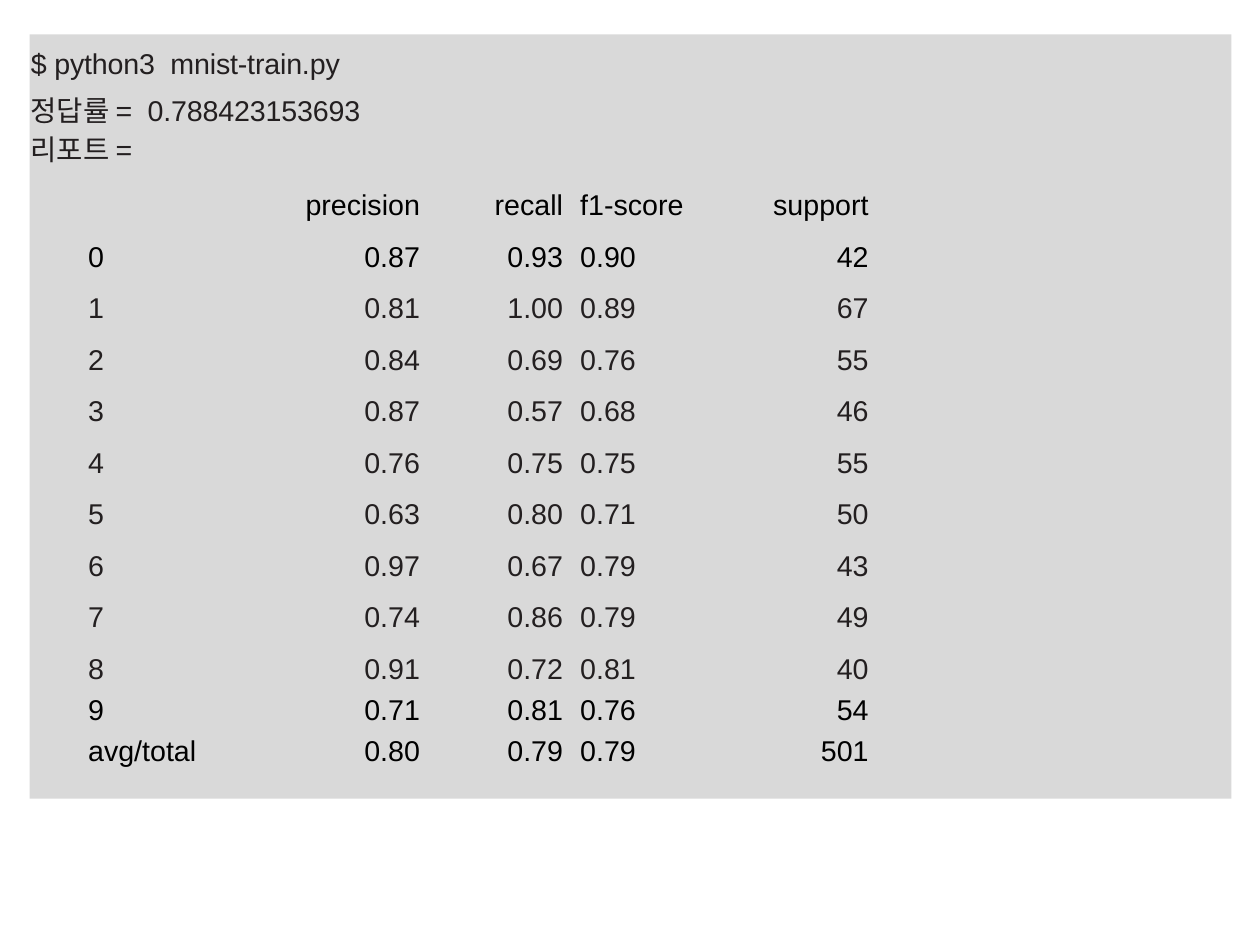
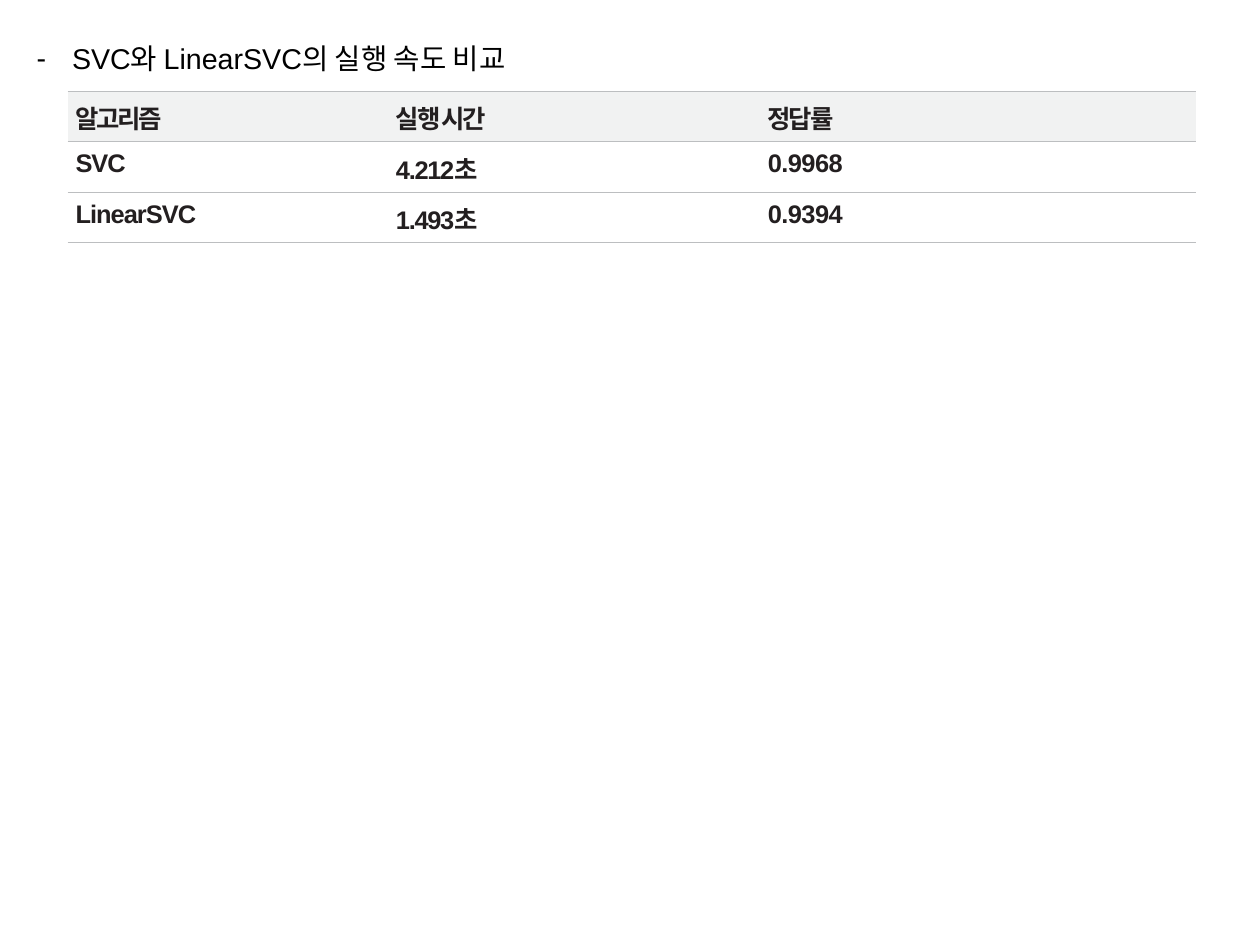
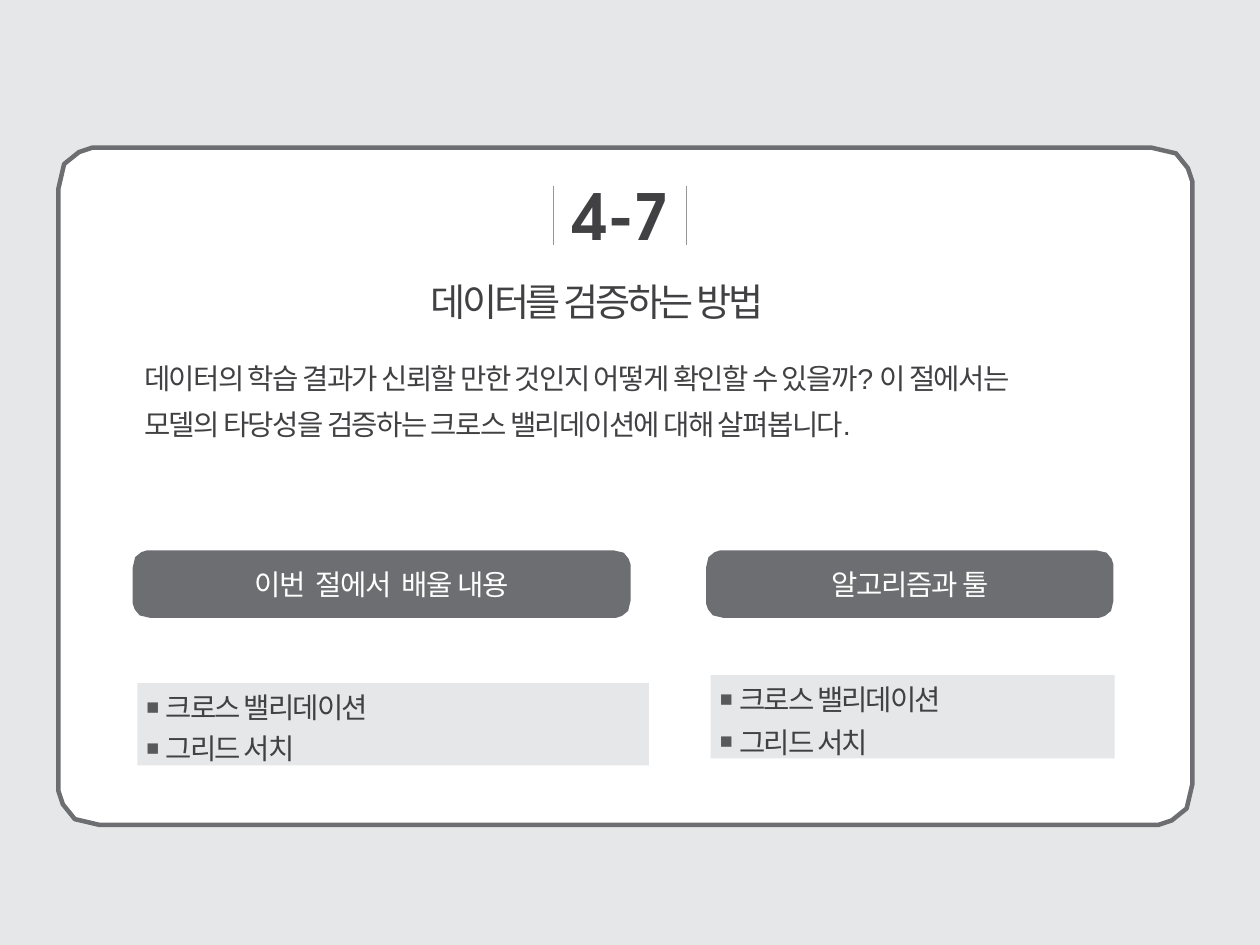
from lxml import etree
from pptx import Presentation
from pptx.dml.color import RGBColor
from pptx.enum.shapes import MSO_CONNECTOR, MSO_SHAPE
from pptx.enum.text import MSO_ANCHOR, MSO_AUTO_SIZE, PP_ALIGN
from pptx.oxml.ns import qn
from pptx.util import Inches, Pt

LEFT, CENTER, RIGHT, JUSTIFY = PP_ALIGN.LEFT, PP_ALIGN.CENTER, PP_ALIGN.RIGHT, PP_ALIGN.JUSTIFY
TOP, MIDDLE = MSO_ANCHOR.TOP, MSO_ANCHOR.MIDDLE
TWO_CONTENT, TITLE_ONLY, BLANK = 3, 5, 6
NO_TABLE_STYLE = "{2D5ABB26-0587-4C30-8999-92F81FD0307C}"

COLORS = {
    "black": "000000", "ink": "231F20", "text": "414042", "white": "FFFFFF",
    "console": "D9D9D9", "header": "F1F2F2", "rule": "BCBEC0",
    "backdrop": "E6E7E8", "slate": "6D6E71", "divider": "939598", "bullet": "58595B",
}
SANS, MONO, DISPLAY = "Arial", "Noto Sans Mono", "TeX Gyre Adventor"

# Corner outline: shares of the radius left on the incoming and outgoing edge
CORNER = [(1, 0), (0.83, 0), (0.5, 0.11), (0.14, 0.4), (0, 1)]

REPORT_COLUMNS = [  # width, alignment, left indent
    (1.17, LEFT, 0.02), (1.75, RIGHT, 0), (1.25, RIGHT, 0), (1.25, LEFT, 0.15), (1.42, RIGHT, 0),
]
REPORT = [
    ("", "precision", "recall", "f1-score", "support"),
    ("0", "0.87", "0.93", "0.90", "42"),
    ("1", "0.81", "1.00", "0.89", "67"),
    ("2", "0.84", "0.69", "0.76", "55"),
    ("3", "0.87", "0.57", "0.68", "46"),
    ("4", "0.76", "0.75", "0.75", "55"),
    ("5", "0.63", "0.80", "0.71", "50"),
    ("6", "0.97", "0.67", "0.79", "43"),
    ("7", "0.74", "0.86", "0.79", "49"),
    ("8", "0.91", "0.72", "0.81", "40"),
    ("9", "0.71", "0.81", "0.76", "54"),
    ("avg/total", "0.80", "0.79", "0.79", "501"),
]
SPEED_COLUMNS = [  # width, left indent, letter spacing of the values
    (2.21, 0.07, -0.6), (3.21, 0.66, -0.8), (4.44, 0.7, -0.35),
]
SPEED = [
    ("알고리즘", "실행 시간", "정답률"),
    ("SVC", "4.212초", "0.9968"),
    ("LinearSVC", "1.493초", "0.9394"),
]


def rgb(name):
    return RGBColor.from_string(COLORS[name])


def paint(target, name):
    target.fill.solid()
    target.fill.fore_color.rgb = rgb(name)


def add_bullet(paragraph, char, color=None, percent=None):
    """Put the bullet ahead of the paragraph's default font."""
    default_font = paragraph.font._rPr
    parts = []
    if color:
        bullet_color = etree.Element(qn("a:buClr"))
        etree.SubElement(bullet_color, qn("a:srgbClr"), val=COLORS[color])
        parts.append(bullet_color)
    if percent:
        parts.append(etree.Element(qn("a:buSzPct"), val=str(percent * 1000)))
    parts.append(etree.Element(qn("a:buFont"), typeface=SANS))
    parts.append(etree.Element(qn("a:buChar"), char=char))
    for part in parts:
        default_font.addprevious(part)


def format_paragraph(paragraph, color, size=18, font=SANS, bold=False, spacing=0,
                     align=LEFT, left=0, first=0, before=0, leading=1):
    face = paragraph.font
    face.size, face.name, face.bold = Pt(size), font, bold
    face.color.rgb = rgb(color)
    face._rPr.set("spc", str(round(spacing * 100)))
    paragraph.alignment = align
    paragraph.space_before = Pt(before)
    paragraph.line_spacing = leading
    properties = paragraph._p.get_or_add_pPr()
    properties.set("marL", str(Inches(left)))
    properties.set("indent", str(Inches(first)))


def write(shape, lines, color, anchor=TOP, top=0, **style):
    """Fill a shape with equally formatted lines and return its paragraphs."""
    frame = shape.text_frame
    frame.word_wrap, frame.auto_size = True, MSO_AUTO_SIZE.NONE
    frame.vertical_anchor = anchor
    frame.margin_left = frame.margin_right = frame.margin_bottom = 0
    frame.margin_top = Inches(top)
    frame.text = "\n".join(lines)
    for paragraph in frame.paragraphs:
        format_paragraph(paragraph, color, **style)
    return frame.paragraphs


def place(shape, *box):
    shape.left, shape.top, shape.width, shape.height = map(Inches, box)
    return shape


def add_text(slide, box, text, color, **style):
    write(slide.shapes.add_textbox(*map(Inches, box)), [text], color, **style)


def add_rounded(slide, box, radius, fill, line=None):
    """Draw a box whose corners are cut in short straight steps."""
    x, y, w, h = box
    corners = [  # corner, incoming edge, outgoing edge, counter-clockwise
        (x, y, (1, 0), (0, 1)), (x, y + h, (0, -1), (1, 0)),
        (x + w, y + h, (-1, 0), (0, -1)), (x + w, y, (0, 1), (-1, 0)),
    ]
    points = [
        (Inches(cx + radius * (a * into[0] + b * out[0])),
         Inches(cy + radius * (a * into[1] + b * out[1])))
        for cx, cy, into, out in corners for a, b in CORNER
    ]
    builder = slide.shapes.build_freeform(*points[0])
    builder.add_line_segments(points[1:], close=True)
    shape = builder.convert_to_shape()
    shape.shadow.inherit = False
    paint(shape, fill)
    if line:
        shape.line.color.rgb, shape.line.width = rgb(line), Pt(2.83)
    else:
        shape.line.fill.background()
    return shape


def add_divider(slide, x, top, bottom):
    divider = slide.shapes.add_connector(
        MSO_CONNECTOR.STRAIGHT, Inches(x), Inches(top), Inches(x), Inches(bottom))
    divider.line.color.rgb, divider.line.width = rgb("divider"), Pt(0.5)
    etree.SubElement(divider._element.spPr, qn("a:effectLst"))


def add_plain_table(slide, left, top, widths, heights):
    table = slide.shapes.add_table(
        len(heights), len(widths), Inches(left), Inches(top),
        Inches(sum(widths)), Inches(sum(heights))).table
    table.first_row = table.horz_banding = False
    table._tbl.tblPr.find(qn("a:tableStyleId")).text = NO_TABLE_STYLE
    for column, width in zip(table.columns, widths):
        column.width = Inches(width)
    for row, height in zip(table.rows, heights):
        row.height = Inches(height)
    return table


def write_cell(cell, text, top, color, **style):
    cell.margin_left = cell.margin_right = cell.margin_bottom = 0
    cell.margin_top = Inches(top)
    cell.text = text
    format_paragraph(cell.text_frame.paragraphs[0], color, **style)


def rule_cell(cell):
    """Thin rules above and below a cell."""
    properties = cell._tc.get_or_add_tcPr()
    for index, side in enumerate(("a:lnT", "a:lnB")):
        rule = etree.Element(qn(side), w=str(Pt(0.5)))
        fill = etree.SubElement(rule, qn("a:solidFill"))
        etree.SubElement(fill, qn("a:srgbClr"), val=COLORS["rule"])
        properties.insert(index, rule)


def build_report(slide):
    # Console panel
    console = slide.shapes.add_shape(
        MSO_SHAPE.RECTANGLE, *map(Inches, (0.26, 0.3, 10.5, 6.68)))
    console.shadow.inherit = False
    paint(console, "console")
    console.line.fill.background()
    lines = ["$ python3  mnist-train.py", "정답률 =  0.788423153693", "리포트 ="]
    paragraphs = write(console, lines, "ink", left=0.01, leading=1.35, spacing=-0.1)
    paragraphs[-1].line_spacing, paragraphs[-1].space_before = 1, Pt(3.4)

    # Scores per digit
    widths = [width for width, _, _ in REPORT_COLUMNS]
    table = add_plain_table(slide, 0.75, 1.63, widths, [0.45] * 9 + [0.36] * 3)
    for r, values in enumerate(REPORT):
        color = "ink" if 2 <= r <= 9 else "black"
        for c, (value, (_, align, left)) in enumerate(zip(values, REPORT_COLUMNS)):
            cell = table.cell(r, c)
            write_cell(cell, value, 0.03, color, align=align, left=left, before=0.9)
            paint(cell, "console")


def build_speed(slide):
    # Heading
    heading = place(slide.shapes.title, 0.3, 0.21, 10.42, 0.4)
    paragraphs = write(heading, ["SVC와 LinearSVC의 실행 속도 비교"], "black",
                       align=JUSTIFY, left=0.33, first=-0.31, leading=1.5)
    add_bullet(paragraphs[0], "-")

    # Speed comparison
    widths = [width for width, _, _ in SPEED_COLUMNS]
    table = add_plain_table(slide, 0.59, 0.8, widths, [0.44] * len(SPEED))
    for r, values in enumerate(SPEED):
        for c, (value, (_, left, spacing)) in enumerate(zip(values, SPEED_COLUMNS)):
            cell = table.cell(r, c)
            write_cell(cell, value, 0.07, "ink", size=16, bold=True, left=left,
                       before=3, spacing=spacing if r else -1.4)
            if r == 0:
                paint(cell, "header")
            rule_cell(cell)


def build_section(slide):
    paint(slide.background, "backdrop")

    # Card, behind the placeholders
    card = add_rounded(slide, (0.51, 1.29, 9.91, 5.92), 0.36, "white", "slate")
    slide.shapes._spTree.insert(2, card._element)

    # Section number and title
    for x in (4.84, 6):
        add_divider(slide, x, 1.63, 2.14)
    add_text(slide, (4.99, 1.55, 1.04, 0.67), "4-7", "text", size=40,
             font=DISPLAY, bold=True, spacing=-0.4, left=0.01)
    title = place(slide.shapes.title, 3.75, 2.43, 3.33, 0.4)
    write(title, ["데이터를 검증하는 방법"], "text", size=24, spacing=-2, left=0.01)
    add_text(slide, (1.25, 3.05, 8.17, 0.82),
             "데이터의 학습 결과가 신뢰할 만한 것인지 어떻게 확인할 수 있을까? 이 절에서는 "
             "모델의 타당성을 검증하는 크로스 밸리데이션에 대해 살펴봅니다.",
             "text", spacing=-1, left=0.01, leading=1.35)

    # Topic columns: pill label above a list
    topics = ["크로스 밸리데이션", "그리드 서치"]
    columns = [
        (1, "이번  절에서  배울 내용", (1.16, 4.81, 4.35, 0.59), (1.2, 5.97, 4.47, 0.72), SANS, 4),
        (2, "알고리즘과 툴", (6.17, 4.81, 3.56, 0.59), (6.21, 5.9, 3.53, 0.73), MONO, 5.4),
    ]
    for index, label, pill_box, list_box, font, gap in columns:
        pill = add_rounded(slide, pill_box, 0.15, "slate")
        write(pill, [label], "white", anchor=MIDDLE, font=MONO, spacing=-0.7, align=CENTER)
        topic_list = place(slide.placeholders[index], *list_box)
        paint(topic_list, "backdrop")
        paragraphs = write(topic_list, topics, "text", anchor=MIDDLE, top=0.06, font=font,
                           spacing=-1.2, left=0.25, first=-0.17, before=4)
        paragraphs[-1].space_before = Pt(gap)
        for paragraph in paragraphs:
            add_bullet(paragraph, "■", "bullet", 75)


def main():
    deck = Presentation()
    deck.slide_width, deck.slide_height = Inches(11.01), Inches(8.26)
    pages = [(BLANK, build_report), (TITLE_ONLY, build_speed), (TWO_CONTENT, build_section)]
    for layout, build in pages:
        build(deck.slides.add_slide(deck.slide_layouts[layout]))
    deck.save("out.pptx")


if __name__ == "__main__":
    main()
